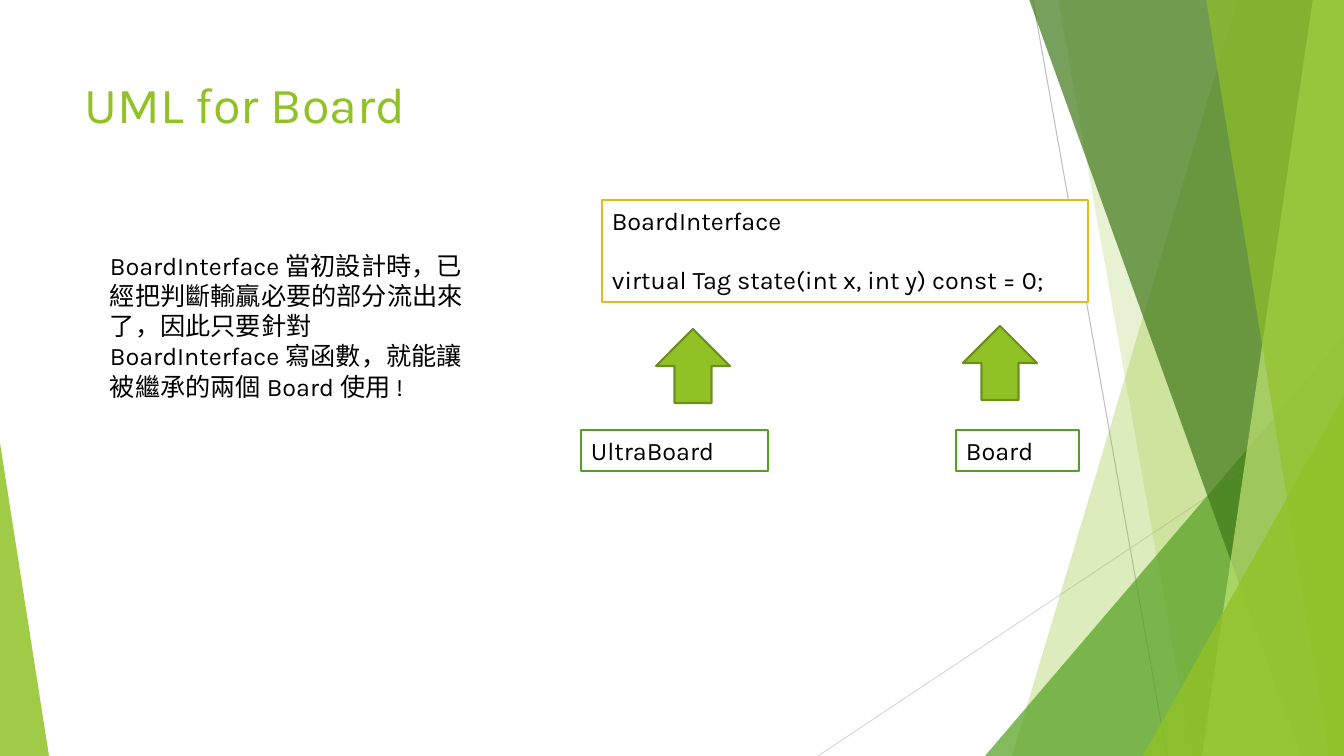
from dataclasses import dataclass
from pptx import Presentation
from pptx.dml.color import RGBColor
from pptx.enum.shapes import MSO_CONNECTOR, MSO_SHAPE
from pptx.enum.text import MSO_ANCHOR, PP_ALIGN
from pptx.oxml.ns import qn
from pptx.util import Emu, Pt
from lxml.etree import SubElement

SCALE = 914400 / 100.8
WIDTH, HEIGHT = 1344, 756


@dataclass(frozen=True)
class Theme:
    font: str = "Karla"
    title_size: int = 36
    body_size: int = 18
    outline: float = 1.5
    hairline: float = 0.75
    lime: str = "90C226"
    pale_lime: str = "C0E474"
    green: str = "54A021"
    forest: str = "3F7819"
    olive: str = "6B901C"
    gold: str = "E6B91E"
    white: str = "FFFFFF"
    black: str = "000000"
    grey: str = "BFBFBF"
    light_grey: str = "D9D9D9"


def emu(pixels):
    return Emu(round(pixels * SCALE))


class SlideBuilder:
    def __init__(self, page, theme):
        self.page, self.theme = page, theme

    def paint(self, shape, fill, line=None, opacity=100):
        shape.shadow.inherit = False
        shape.fill.solid()
        shape.fill.fore_color.rgb = RGBColor.from_string(fill)
        if opacity < 100:
            color = shape._element.spPr.find(qn("a:solidFill"))[0]
            SubElement(color, qn("a:alpha"), val=str(opacity * 1000))
        if line:
            shape.line.color.rgb = RGBColor.from_string(line)
            shape.line.width = Pt(self.theme.outline)
        else:
            shape.line.fill.background()

    def line(self, start, end, color):
        connector = self.page.shapes.add_connector(
            MSO_CONNECTOR.STRAIGHT, *map(emu, (*start, *end)))
        connector.line.color.rgb = RGBColor.from_string(color)
        connector.line.width = Pt(self.theme.hairline)
        SubElement(connector._element.spPr, qn("a:effectLst"))

    def band(self, top_left, bottom_left, color, opacity):
        """Translucent band reaching the right edge of the slide."""
        points = [(top_left, -1), (WIDTH, -1), (WIDTH, HEIGHT), (bottom_left, HEIGHT)]
        outline = self.page.shapes.build_freeform(*points[0], scale=SCALE)
        outline.add_line_segments(points[1:], close=True)
        self.paint(outline.convert_to_shape(), color, opacity=opacity)

    def preset(self, kind, area, fill, line=None, opacity=100):
        shape = self.page.shapes.add_shape(kind, *map(emu, area))
        self.paint(shape, fill, line, opacity)
        return shape

    def triangle(self, left, top, width, apex, color, opacity):
        """Right triangle standing on the bottom edge of the slide."""
        area = (left, top, width, HEIGHT - top)
        shape = self.preset(MSO_SHAPE.ISOSCELES_TRIANGLE, area, color, opacity=opacity)
        shape.adjustments[0] = apex

    def up_arrow(self, left, top, size):
        area = (left, top, size, size)
        arrow = self.preset(MSO_SHAPE.RIGHT_ARROW, area, self.theme.lime, self.theme.olive)
        arrow.rotation = 270

    def fill_text(self, box, lines, size, color, gap=0):
        frame = box.text_frame
        frame.word_wrap = True
        frame.vertical_anchor = MSO_ANCHOR.TOP
        for index, text in enumerate(lines):
            para = frame.add_paragraph() if index else frame.paragraphs[0]
            para.alignment = PP_ALIGN.LEFT
            if index:
                para.space_before = Pt(gap)
            span = para.add_run()
            span.text = text
            span.font.name = self.theme.font
            span.font.size = Pt(size)
            span.font.color.rgb = RGBColor.from_string(color)

    def text(self, area, text, size, color):
        box = self.page.shapes.add_textbox(*map(emu, area))
        self.fill_text(box, [text], size, color)

    def class_box(self, area, lines, border):
        box = self.preset(MSO_SHAPE.RECTANGLE, area, self.theme.white, border)
        self.fill_text(box, lines, self.theme.body_size, self.theme.black, gap=21)


deck = Presentation()
deck.slide_width, deck.slide_height = emu(WIDTH), emu(HEIGHT)
theme = Theme()
slide = SlideBuilder(deck.slides.add_slide(deck.slide_layouts[6]), theme)

# Faceted background
slide.line((1033, 0), (1167, HEIGHT), theme.grey)
slide.line((WIDTH, 406), (818, HEIGHT), theme.light_grey)
slide.band(1238, 1012, theme.lime, 30)
slide.band(1058, 1192, theme.lime, 20)
slide.triangle(985, 336, 359, 1, theme.green, 72)
slide.band(1029, 1301, theme.forest, 70)
slide.band(1313, 1202, theme.pale_lime, 70)
slide.band(1206, 1329, theme.lime, 65)
slide.triangle(1143, 396, 201, 1, theme.lime, 80)
slide.triangle(0, 443, 49, 0, theme.lime, 85)

# Title
slide.text((75, 68, 948, 145), "UML for Board", theme.title_size, theme.lime)

# Class diagram
slide.class_box((602, 200, 486, 102),
                ["BoardInterface", "virtual Tag state(int x, int y) const = 0;"], theme.gold)
for name, left, width in (("UltraBoard", 581, 187), ("Board", 956, 123)):
    slide.class_box((left, 430, width, 41), [name], theme.green)
for left, top in ((656, 329), (963, 326)):
    slide.up_arrow(left, top, 74)

# Explanation
slide.text((100, 245, 386, 193),
           "BoardInterface 當初設計時，已經把判斷輸贏必要的部分流出來了，因此只要針對 "
           "BoardInterface 寫函數，就能讓被繼承的兩個 Board 使用 !",
           theme.body_size, theme.black)

deck.save("out.pptx")
